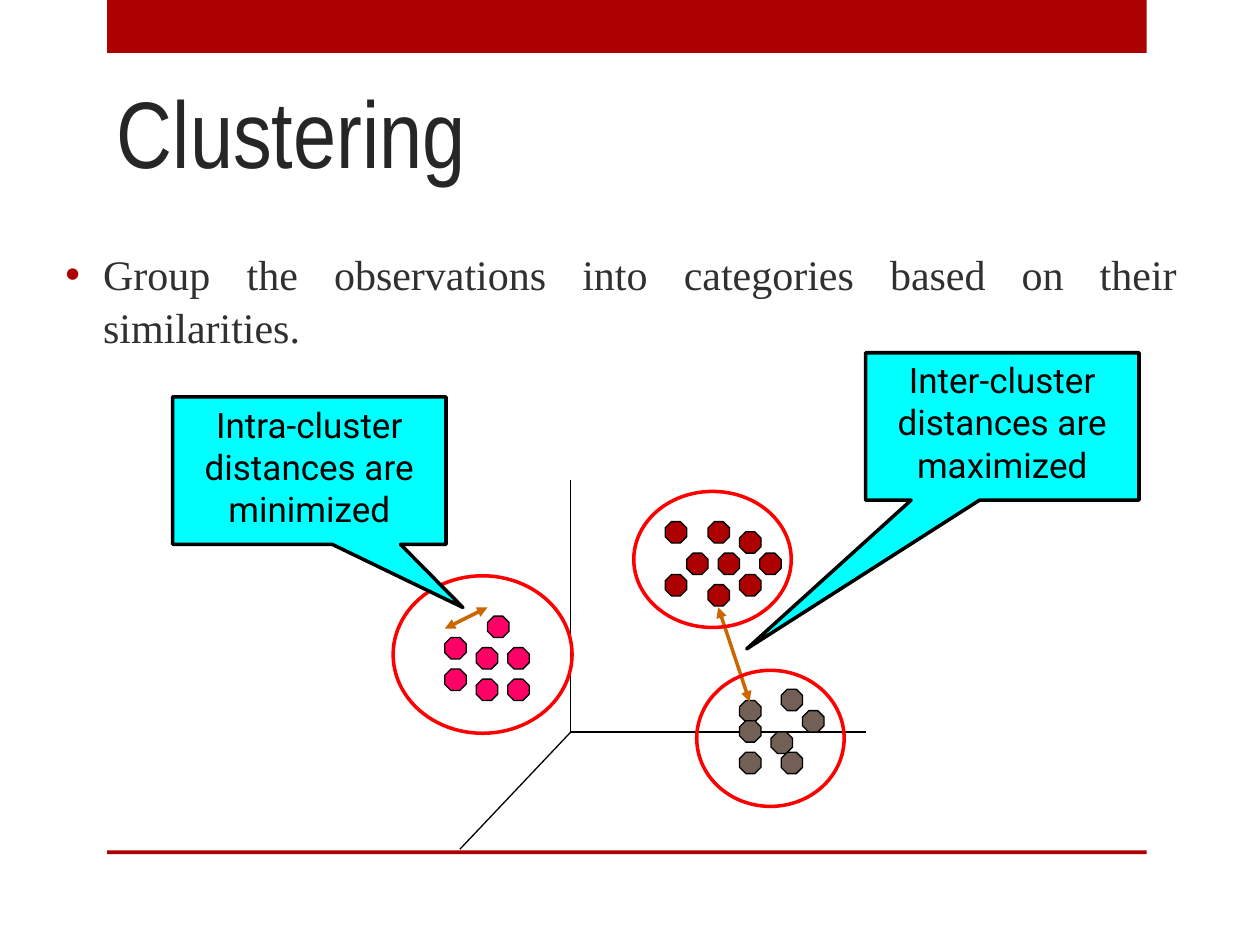
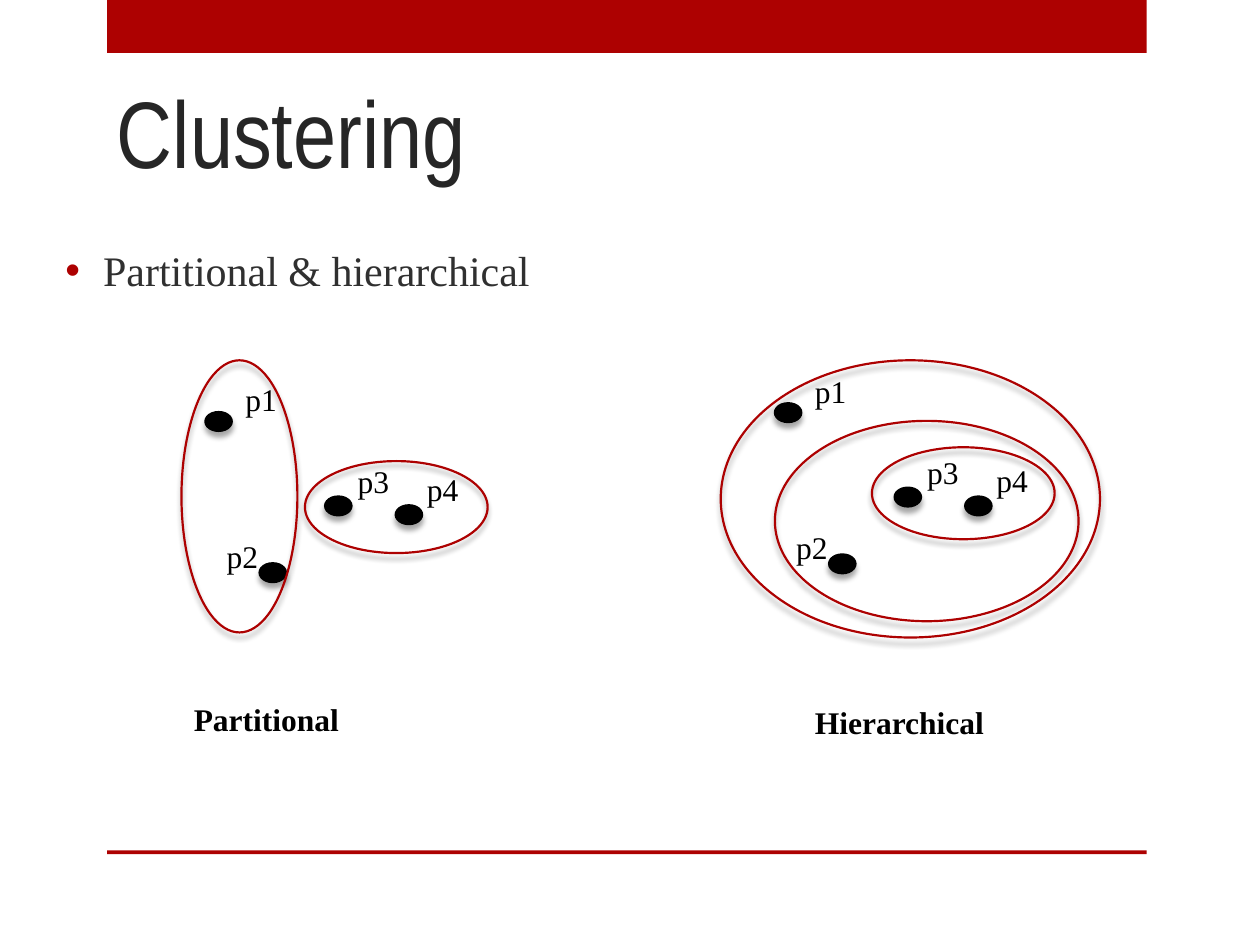
import pptx
import pptx.dml.color
import pptx.enum.shapes
import pptx.enum.text
import pptx.oxml
import pptx.oxml.ns
import pptx.util
from lxml import etree

Inches = pptx.util.Inches
Pt = pptx.util.Pt
RGBColor = pptx.dml.color.RGBColor
Shape = pptx.enum.shapes.MSO_SHAPE
Align = pptx.enum.text.PP_ALIGN
Anchor = pptx.enum.text.MSO_ANCHOR
qn = pptx.oxml.ns.qn

RED = RGBColor(0xAD, 0x01, 0x01)
BRIGHT_RED = RGBColor(0xFF, 0x00, 0x00)
PINK = RGBColor(0xFF, 0x00, 0x66)
BROWN = RGBColor(0x72, 0x60, 0x56)
ORANGE = RGBColor(0xCC, 0x66, 0x00)
CYAN = RGBColor(0x00, 0xFF, 0xFF)
BLACK = RGBColor(0x00, 0x00, 0x00)
TITLE_GREY = RGBColor(0x26, 0x26, 0x26)
BODY_GREY = RGBColor(0x30, 0x30, 0x30)

TITLE_FONT = "Arial Narrow"
BODY_FONT = "Times New Roman"
CALLOUT_FONT = "Roboto"

OCTAGON_SIZE = 0.17
RED_CLUSTER = [(5.45, 4.39), (5.7, 4.39), (5.62, 4.14), (5.62, 4.64), (6.03, 4.39),
               (5.87, 4.22), (5.28, 4.14), (5.87, 4.56), (5.28, 4.56)]
PINK_CLUSTER = [(3.53, 5.06), (3.78, 5.14), (3.78, 5.39), (4.03, 5.14),
                (3.87, 4.89), (4.03, 5.39), (3.53, 5.31)]
BROWN_CLUSTER = [(5.87, 5.56), (6.37, 5.64), (6.12, 5.81), (5.87, 5.97),
                 (6.2, 5.97), (5.87, 5.72), (6.2, 5.47)]

POINTS = {
    "p1": ((1.63, 3.27), (1.85, 2.97)),
    "p4": ((3.14, 4.01), (3.29, 3.68)),
    "p3": ((2.58, 3.94), (2.74, 3.62)),
    "p2": ((2.06, 4.47), (1.7, 4.21)),
}
HIERARCHY_SHIFT = (4.52, -0.07)


def add_figure(page, kind, left, top, width, height, fill=None, line=None, line_width=0.75):
    figure = page.shapes.add_shape(kind, Inches(left), Inches(top), Inches(width), Inches(height))
    figure.shadow.inherit = False
    if fill is None:
        figure.fill.background()
    else:
        figure.fill.solid()
        figure.fill.fore_color.rgb = fill
    if line is None:
        figure.line.fill.background()
    else:
        figure.line.color.rgb = line
        figure.line.width = Pt(line_width)
    return figure


def add_drop_shadow(figure):
    effects = figure._element.spPr.find(qn("a:effectLst"))
    shadow = etree.SubElement(effects, qn("a:outerShdw"), blurRad=str(Pt(3)), dist=str(Pt(3)),
                              dir="5400000", algn="t", rotWithShape="0")
    color = etree.SubElement(shadow, qn("a:srgbClr"), val=str(BLACK))
    etree.SubElement(color, qn("a:alpha"), val="35000")


def add_line(page, start, end, color=BLACK, width=0.75, arrows=False):
    line = page.shapes.add_connector(
        pptx.enum.shapes.MSO_CONNECTOR.STRAIGHT,
        Inches(start[0]), Inches(start[1]), Inches(end[0]), Inches(end[1]))
    line.line.color.rgb = color
    line.line.width = Pt(width)
    properties = line._element.spPr
    if arrows:
        outline = properties.find(qn("a:ln"))
        for tag in ("a:headEnd", "a:tailEnd"):
            etree.SubElement(outline, qn(tag), type="triangle")
    etree.SubElement(properties, qn("a:effectLst"))


def style_font(para, font, size, color, bold=False):
    for span in para.runs:
        span.font.name = font
        span.font.size = Pt(size)
        span.font.color.rgb = color
        span.font.bold = bold


def add_text(page, text, left, top, width, height, font=BODY_FONT, size=18,
             color=BLACK, bold=False, anchor=Anchor.TOP):
    box = page.shapes.add_textbox(Inches(left), Inches(top), Inches(width), Inches(height))
    frame = box.text_frame
    frame.word_wrap = True
    frame.vertical_anchor = anchor
    frame.text = text
    style_font(frame.paragraphs[0], font, size, color, bold)
    return frame.paragraphs[0]


def add_bullet(page, text, top):
    para = add_text(page, text, 0.42, top, 9.02, 0.95, size=24, color=BODY_GREY)
    para.alignment = Align.JUSTIFY
    para.line_spacing = 1.06
    properties = para._p.get_or_add_pPr()
    properties.set("marL", str(Inches(0.3)))
    properties.set("indent", str(Inches(-0.3)))
    color = etree.SubElement(properties, qn("a:buClr"))
    etree.SubElement(color, qn("a:srgbClr"), val=str(RED))
    etree.SubElement(properties, qn("a:buFont"), typeface="Arial")
    etree.SubElement(properties, qn("a:buChar"), char="•")


def add_callout(page, text, left, top, tip):
    callout = add_figure(page, Shape.RECTANGULAR_CALLOUT, left, top, 2.17, 1.17, CYAN, BLACK, 2)
    callout.adjustments[0], callout.adjustments[1] = tip
    frame = callout.text_frame
    frame.word_wrap = True
    frame.vertical_anchor = Anchor.TOP
    frame.text = text
    para = frame.paragraphs[0]
    para.alignment = Align.CENTER
    style_font(para, CALLOUT_FONT, 20, BLACK)


def add_cluster(page, corners, color):
    for left, top in corners:
        octagon = add_figure(page, Shape.OCTAGON, left, top, OCTAGON_SIZE, OCTAGON_SIZE,
                             color, BLACK)
        octagon.adjustments[0] = 0.293


def add_shadowed_oval(page, left, top, width, height, fill=None, line=RED):
    oval = add_figure(page, Shape.OVAL, left, top, width, height, fill, line, 1.25)
    add_drop_shadow(oval)


def add_points(page, shift=(0, 0)):
    right, down = shift
    for dot, label in POINTS.values():
        add_shadowed_oval(page, dot[0] + right, dot[1] + down, 0.21, 0.15, BLACK, BLACK)
    for name, (dot, label) in POINTS.items():
        add_text(page, name, label[0] + right, label[1] + down, 0.56, 0.4)


def add_page(deck, title):
    page = deck.slides.add_slide(deck.slide_layouts[6])
    for top, height in ((0, 0.42), (6.75, 0.03)):
        add_figure(page, Shape.RECTANGLE, 0.85, top, 8.25, height, RED)
    add_text(page, title, 0.83, 0.41, 7.42, 1.13, TITLE_FONT, 54, TITLE_GREY,
             anchor=Anchor.BOTTOM)
    return page


def build_distances(deck):
    page = add_page(deck, "Clustering")
    add_bullet(page, "Group the observations into categories based on their similarities.", 1.9)
    origin = (4.53, 5.81)
    for axis_end in ((4.53, 3.81), (6.87, 5.81), (3.65, 6.74)):
        add_line(page, origin, axis_end)
    add_cluster(page, RED_CLUSTER, RED)
    add_cluster(page, PINK_CLUSTER, PINK)
    add_cluster(page, BROWN_CLUSTER, BROWN)
    add_line(page, (5.95, 5.57), (5.7, 4.82), ORANGE, 2, arrows=True)
    add_callout(page, "Inter-cluster distances are maximized", 6.87, 2.8, (-0.935, 1.509))
    for ring in ((3.12, 4.57, 1.42, 1.25), (5.03, 3.9, 1.25, 1.08), (5.53, 5.32, 1.17, 1.08)):
        add_figure(page, Shape.OVAL, *ring, line=BRIGHT_RED, line_width=2)
    add_line(page, (3.53, 4.99), (3.87, 4.82), ORANGE, 2, arrows=True)
    add_callout(page, "Intra-cluster distances are minimized", 1.37, 3.15, (0.562, 0.929))


def build_types(deck):
    page = add_page(deck, "Clustering")
    add_bullet(page, "Partitional & hierarchical", 1.87)
    add_points(page)
    add_points(page, HIERARCHY_SHIFT)
    hierarchical_rings = [(6.92, 3.55, 1.45, 0.73), (6.15, 3.34, 2.41, 1.59),
                          (5.72, 2.86, 3.01, 2.2)]
    partitional_rings = [(2.42, 3.66, 1.45, 0.73), (1.44, 2.86, 0.92, 2.16)]
    for ring in hierarchical_rings + partitional_rings:
        add_shadowed_oval(page, *ring)
    add_text(page, "Partitional", 1.44, 5.51, 2.16, 0.4, bold=True)
    add_text(page, "Hierarchical", 6.37, 5.53, 2.16, 0.4, bold=True)


def main():
    deck = pptx.Presentation()
    deck.slide_width = Inches(10)
    deck.slide_height = Inches(7.5)
    build_distances(deck)
    build_types(deck)
    deck.save("out.pptx")


if __name__ == "__main__":
    main()
